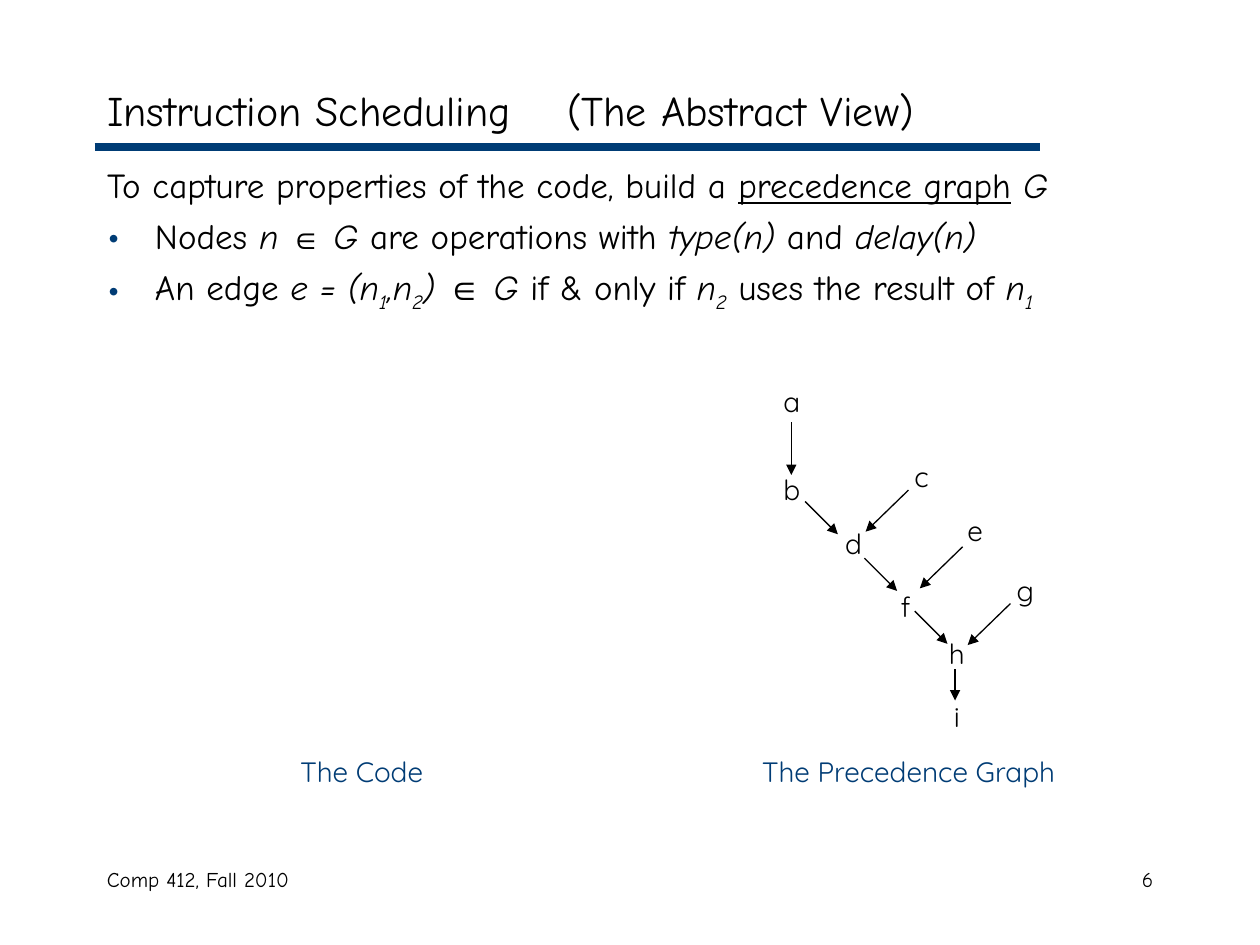
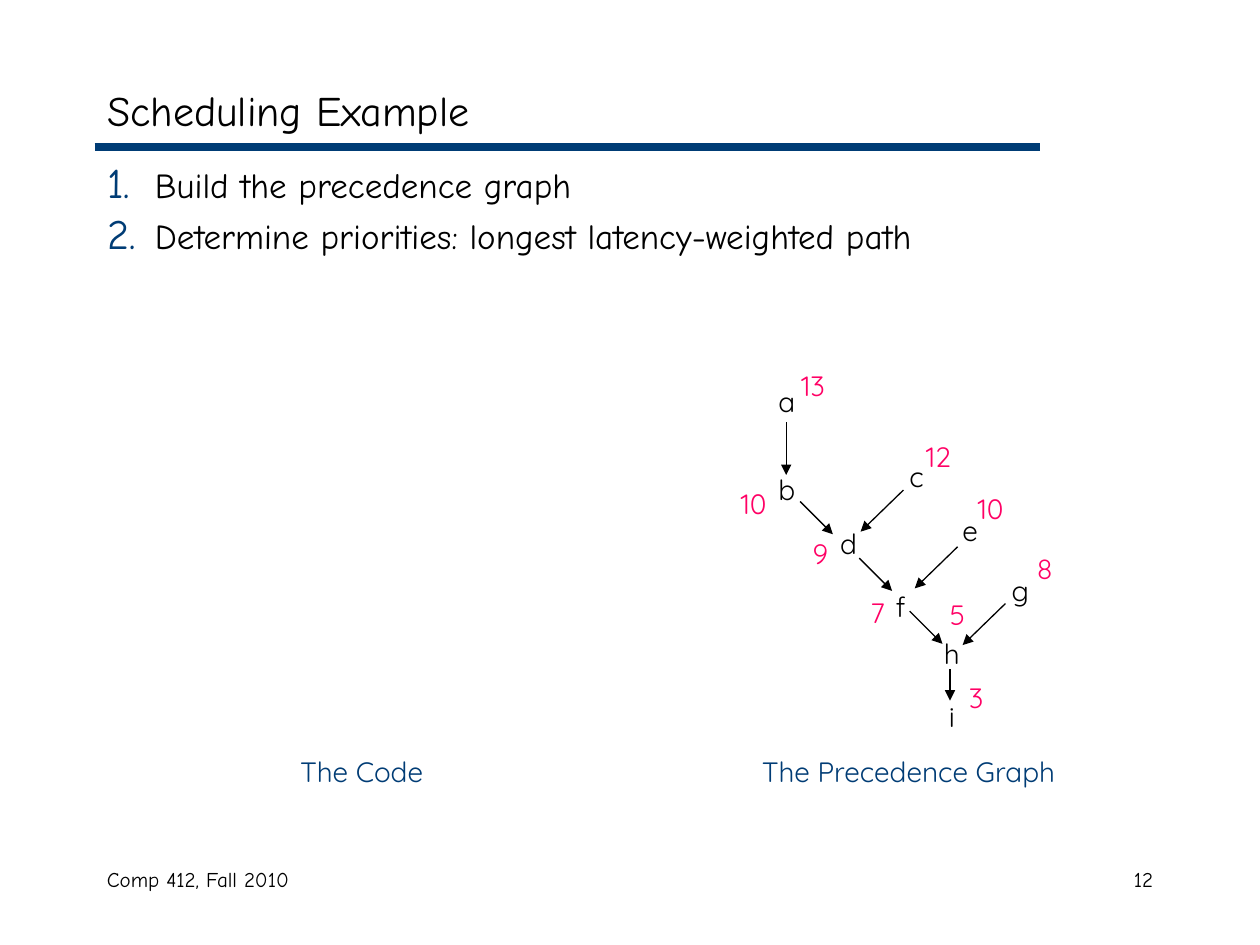
from dataclasses import dataclass

from lxml import etree
from pptx import Presentation
from pptx.dml.color import RGBColor
from pptx.enum.shapes import MSO_CONNECTOR
from pptx.enum.text import MSO_ANCHOR, MSO_AUTO_SIZE, PP_ALIGN
from pptx.oxml.ns import qn
from pptx.util import Inches, Pt


@dataclass(frozen=True)
class Theme:
    ink: str = "000000"
    accent: str = "003C75"
    priority: str = "FF0065"
    text_font: str = "Comic Neue"
    label_font: str = "Quicksand"
    symbol_font: str = "Arial"
    title_size: int = 24
    body_size: int = 20
    symbol_size: int = 18
    label_size: int = 16
    footer_size: int = 12
    rule_width: float = 4.5
    edge_width: float = 0.75


THEME = Theme()
COURSE = "Comp 412, Fall 2010"
LABEL_HEIGHT = 0.37
NODE_WIDTH = 0.33

# letter: left, top, alignment
NODES = {
    "a": (6.12, 3, PP_ALIGN.LEFT),
    "b": (6.12, 3.7, PP_ALIGN.LEFT),
    "c": (7.16, 3.6, PP_ALIGN.LEFT),
    "d": (6.61, 4.13, PP_ALIGN.LEFT),
    "e": (7.58, 4.03, PP_ALIGN.LEFT),
    "f": (7.05, 4.63, PP_ALIGN.LEFT),
    "g": (7.97, 4.5, PP_ALIGN.LEFT),
    "h": (7.43, 5, PP_ALIGN.CENTER),
    "i": (7.43, 5.5, PP_ALIGN.CENTER),
}
DOWN_RIGHT = (0.26, 0.26)
DOWN_LEFT = (-0.34, 0.33)
# start x, start y, step to the arrowhead
EDGES = [
    (6.28, 3.35, (0, 0.42)),
    (6.39, 3.98, DOWN_RIGHT),
    (6.86, 4.43, DOWN_RIGHT),
    (7.26, 4.85, DOWN_RIGHT),
    (7.21, 3.89, DOWN_LEFT),
    (7.64, 4.34, DOWN_LEFT),
    (8.02, 4.79, DOWN_LEFT),
    (7.58, 5.31, (0, 0.25)),
]
# latency, left, top
PRIORITIES = [
    ("13", 6.26, 2.88),
    ("10", 5.78, 3.81),
    ("12", 7.25, 3.44),
    ("9", 6.35, 4.21),
    ("10", 7.66, 3.85),
    ("7", 6.81, 4.68),
    ("8", 8.13, 4.33),
    ("5", 7.44, 4.69),
    ("3", 7.59, 5.35),
]


def write(paragraph, text, size=THEME.body_size, font=THEME.text_font,
          color=THEME.ink, italic=False, underline=False, subscript=False):
    run = paragraph.add_run()
    run.text = text
    run.font.size = Pt(size)
    run.font.name = font
    run.font.color.rgb = RGBColor.from_string(color)
    run.font.italic = italic
    run.font.underline = underline
    if subscript:
        run._r.get_or_add_rPr().set("baseline", "-25000")


def add_child(parent, tag, **attributes):
    return etree.SubElement(parent, qn(tag), attributes)


class Deck:
    def __init__(self, theme):
        self.theme = theme
        self.presentation = Presentation()
        self.presentation.slide_width = Inches(10)
        self.presentation.slide_height = Inches(7.5)
        self.slide = None

    def new_slide(self, number):
        layout = self.presentation.slide_layouts[1]
        self.slide = self.presentation.slides.add_slide(layout)
        self.line(0.75, 1.17, 8.25, 1.17, self.theme.accent, self.theme.rule_width)
        footer = dict(size=self.theme.footer_size)
        self.text(COURSE, 0.75, 6.83, 3.17, 0.5, **footer)
        self.text(number, 7.17, 6.83, 2.08, 0.5, PP_ALIGN.RIGHT, **footer)

    def line(self, x1, y1, x2, y2, color, width, arrow=False):
        connector = self.slide.shapes.add_connector(
            MSO_CONNECTOR.STRAIGHT, Inches(x1), Inches(y1), Inches(x2), Inches(y2))
        connector.line.color.rgb = RGBColor.from_string(color)
        connector.line.width = Pt(width)
        if arrow:
            add_child(connector.line._get_or_add_ln(), "a:tailEnd", type="triangle")
        add_child(connector._element.spPr, "a:effectLst")

    def text(self, text, left, top, width, height, align=PP_ALIGN.LEFT,
             wrap=True, **style):
        box = self.slide.shapes.add_textbox(
            Inches(left), Inches(top), Inches(width), Inches(height))
        box.text_frame.word_wrap = wrap
        paragraph = box.text_frame.paragraphs[0]
        paragraph.alignment = align
        write(paragraph, text, **style)

    def label(self, text, left, top, width, align=PP_ALIGN.LEFT, **style):
        self.text(text, left, top, width, LABEL_HEIGHT, align,
                  font=self.theme.label_font, size=self.theme.label_size, **style)

    def place(self, placeholder, top, height, anchor):
        placeholder.left, placeholder.top = Inches(0.75), Inches(top)
        placeholder.width, placeholder.height = Inches(8.5), Inches(height)
        frame = placeholder.text_frame
        frame.auto_size = MSO_AUTO_SIZE.NONE
        frame.vertical_anchor = anchor
        return frame

    def title(self, text, tab=None):
        frame = self.place(self.slide.shapes.title, 0.58, 0.58, MSO_ANCHOR.MIDDLE)
        paragraph = frame.paragraphs[0]
        paragraph.alignment = PP_ALIGN.LEFT
        if tab:
            stops = add_child(paragraph._p.get_or_add_pPr(), "a:tabLst")
            add_child(stops, "a:tab", pos=str(Inches(tab)), algn="l")
        write(paragraph, text, size=self.theme.title_size)

    def body(self, items):
        """Each item is a bullet kind followed by (text, format) pairs."""
        frame = self.place(self.slide.placeholders[1], 1.25, 5.42, MSO_ANCHOR.TOP)
        for index, (bullet, *spans) in enumerate(items):
            paragraph = frame.add_paragraph() if index else frame.paragraphs[0]
            self.bullet(paragraph, bullet)
            paragraph.space_before = Pt(5 if index else 0)
            for text, style in spans:
                write(paragraph, text, **style)

    def bullet(self, paragraph, kind):
        properties = paragraph._p.get_or_add_pPr()
        properties.set("marL", str(Inches(0.38)))
        properties.set("indent", str(Inches(-0.38)))
        if kind is None:
            add_child(properties, "a:buNone")
            return
        color = add_child(properties, "a:buClr")
        add_child(color, "a:srgbClr", val=self.theme.accent)
        add_child(properties, "a:buSzPct", val="120000")
        add_child(properties, "a:buFont", typeface=self.theme.text_font)
        if kind == "number":
            add_child(properties, "a:buAutoNum", type="arabicPeriod")
        else:
            add_child(properties, "a:buChar", char=kind)

    def precedence_graph(self, shift=0):
        for letter, (left, top, align) in NODES.items():
            self.label(letter, left + shift, top, NODE_WIDTH, align)
        for x, y, (dx, dy) in EDGES:
            self.line(x + shift, y, x + shift + dx, y + dy,
                      self.theme.ink, self.theme.edge_width, arrow=True)

    def captions(self):
        for caption, left, width in (("The Code", 1.58, 2.58),
                                     ("The Precedence Graph", 5.75, 2.92)):
            self.label(caption, left, 5.94, width, PP_ALIGN.CENTER,
                       color=self.theme.accent)

    def priorities(self):
        for latency, left, top in PRIORITIES:
            width = 0.32 if len(latency) == 1 else 0.45
            self.label(latency, left, top, width, wrap=False,
                       color=self.theme.priority)


def abstract_view(deck):
    plain, italic = {}, dict(italic=True)
    subscript = dict(italic=True, subscript=True)
    member = dict(italic=True, font=THEME.symbol_font)
    deck.new_slide("6")
    deck.title("Instruction Scheduling\t(The Abstract View)", tab=3.65)
    deck.body([
        (None,
         ("To capture properties of the code, build a ", plain),
         ("precedence graph", dict(underline=True)),
         (" ", plain), ("G", italic)),
        ("•",
         ("Nodes ", plain), ("n ", italic),
         ("∈", dict(member, size=THEME.symbol_size)), (" G ", italic),
         ("are operations with ", plain), ("type(n) ", italic),
         ("and ", plain), ("delay(n)", italic)),
        ("•",
         ("An edge ", plain), ("e = (n", italic), ("1", subscript),
         (",n", italic), ("2", subscript), (") ", italic),
         ("∈", member), (" G", italic), (" if & only if ", plain),
         ("n", italic), ("2", subscript), (" uses the result of ", plain),
         ("n", italic), ("1", subscript)),
    ])
    deck.precedence_graph()
    deck.captions()


def scheduling_example(deck):
    deck.new_slide("12")
    deck.title("Scheduling Example")
    deck.body([
        ("number", ("Build the precedence graph", {})),
        ("number", ("Determine priorities: longest latency-weighted path", {})),
    ])
    deck.precedence_graph(shift=-0.04)
    deck.captions()
    deck.priorities()


def main():
    deck = Deck(THEME)
    abstract_view(deck)
    scheduling_example(deck)
    deck.presentation.save("out.pptx")


if __name__ == "__main__":
    main()
